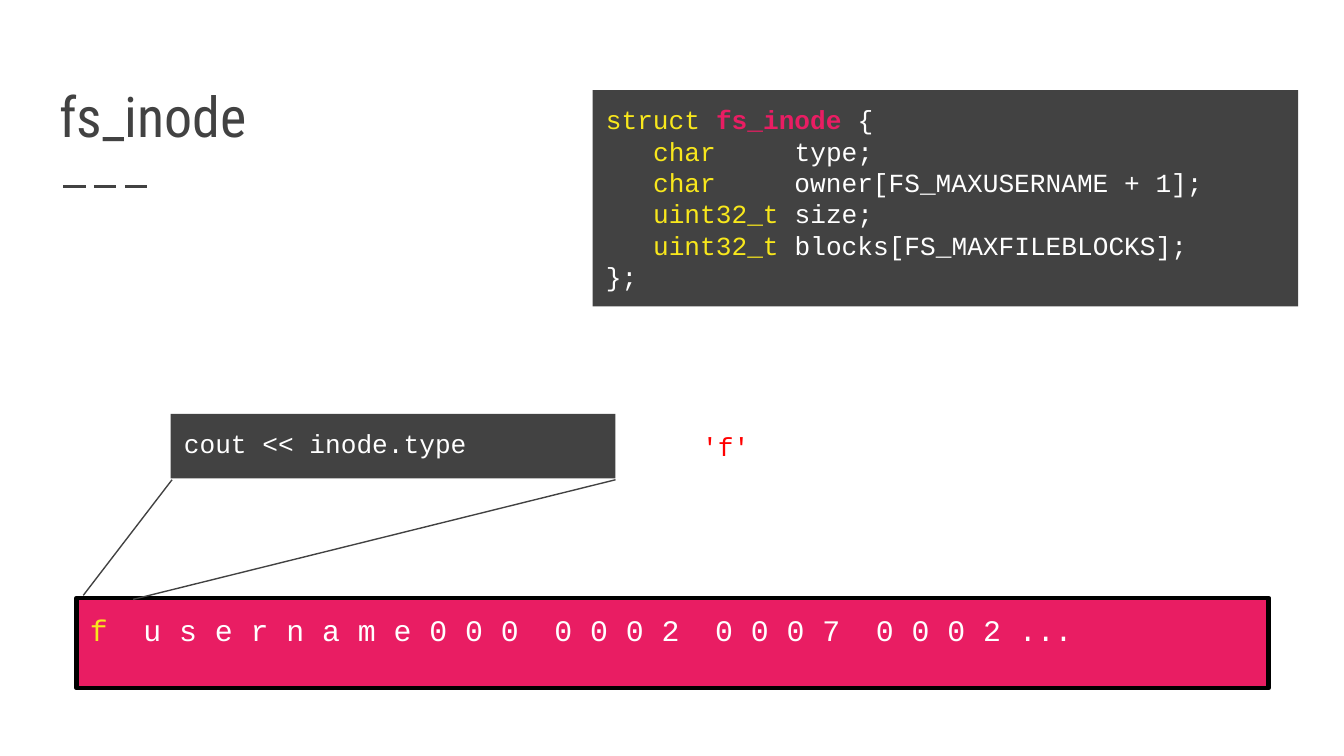
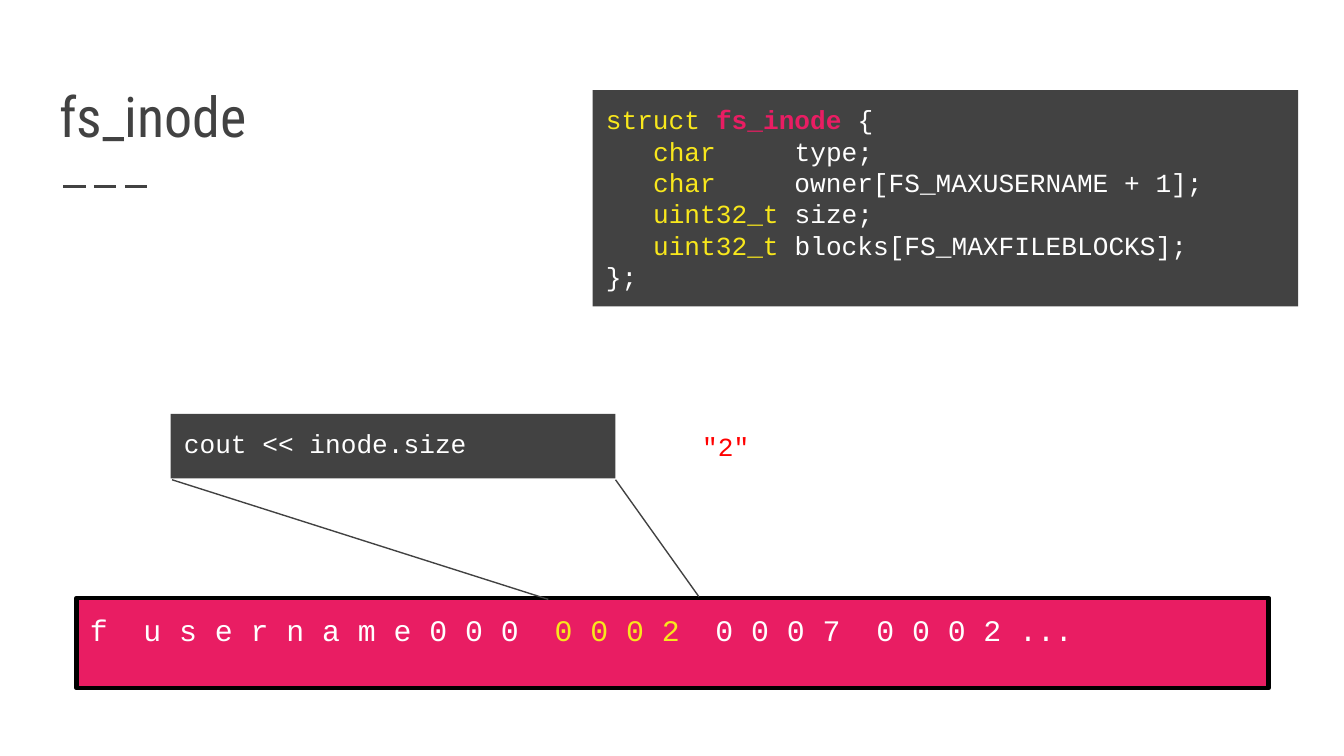
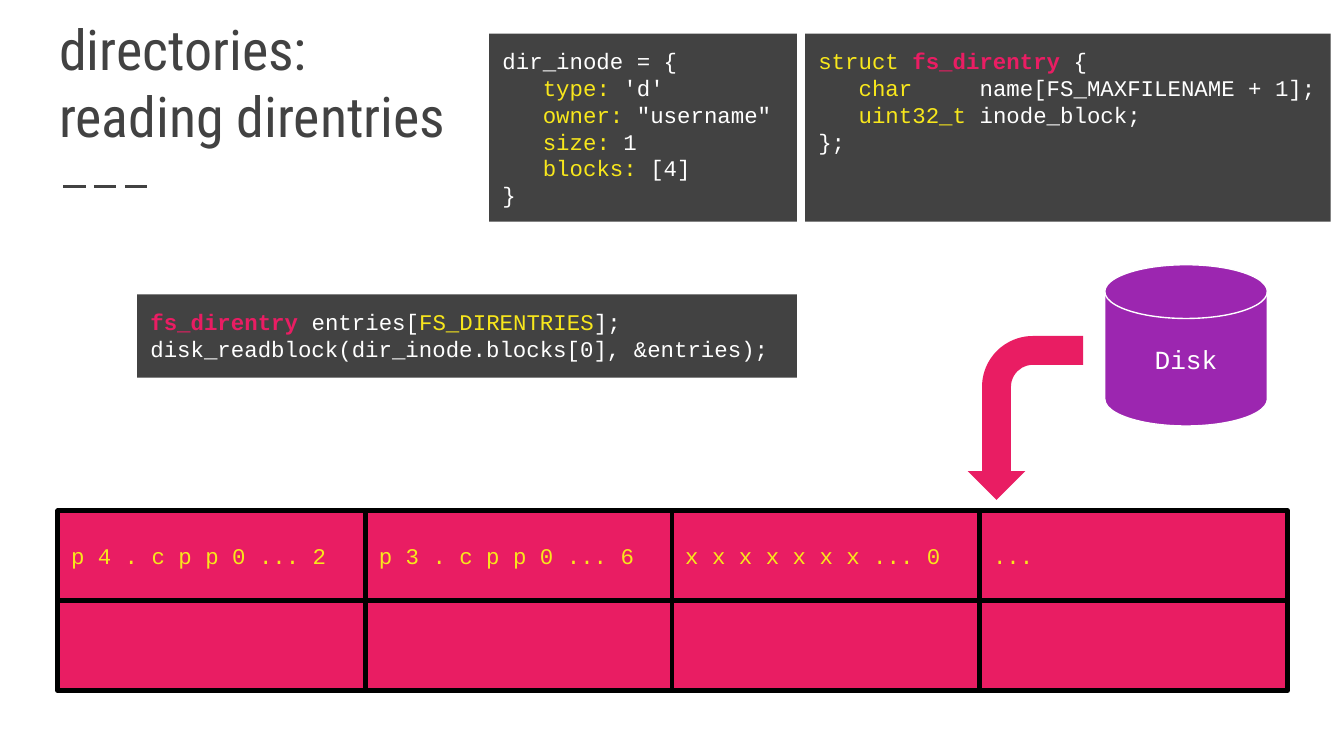
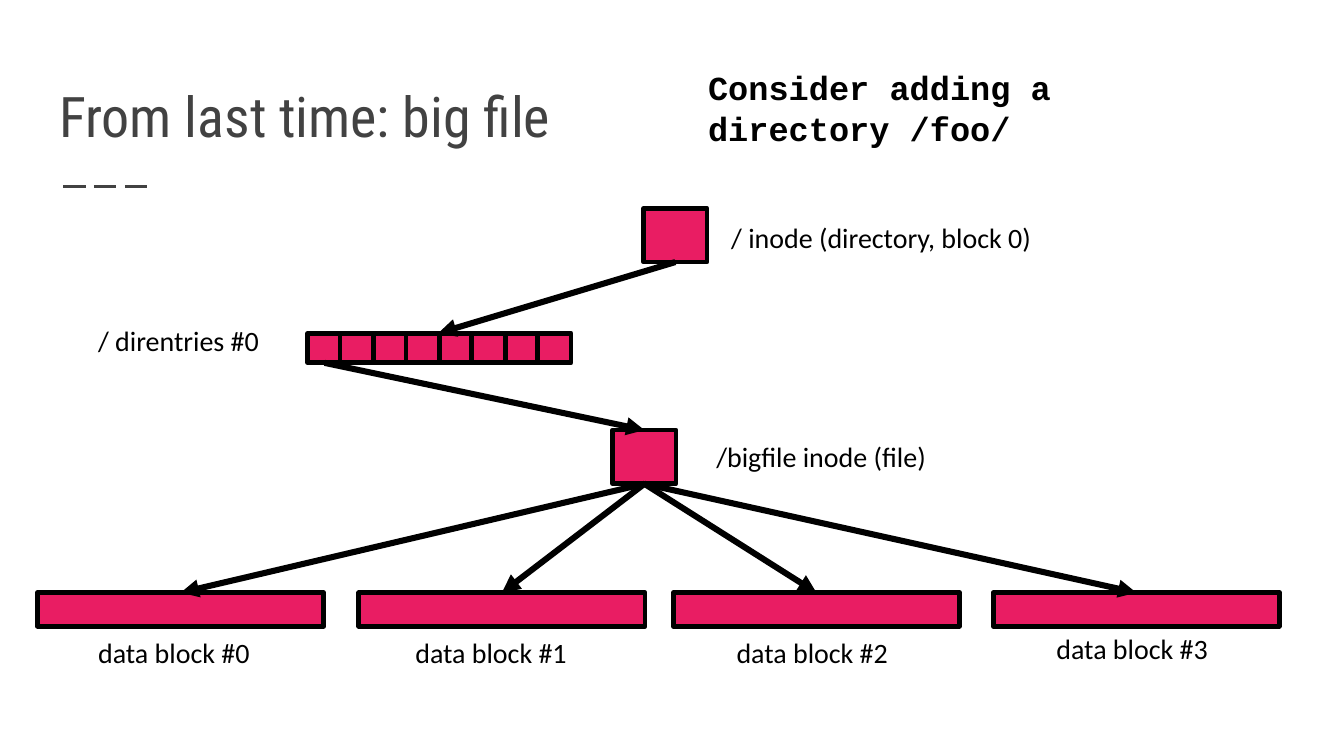
from lxml import etree
from pptx import Presentation
from pptx import util as u
from pptx.dml.color import RGBColor
from pptx.enum import dml, shapes, text
from pptx.oxml import ns

PX = 9144  # 100 px to the inch
GREY = RGBColor(0x42, 0x42, 0x42)
PINK = RGBColor(0xE9, 0x1D, 0x63)
YELLOW = RGBColor(0xF8, 0xE7, 0x1C)
PURPLE = RGBColor(0x9C, 0x26, 0xB0)
RED = RGBColor(0xFF, 0x00, 0x00)
WHITE = RGBColor(0xFF, 0xFF, 0xFF)
BLACK = RGBColor(0x00, 0x00, 0x00)
CODE_FONT, TITLE_FONT, LABEL_FONT = "Courier New", "Roboto Condensed", "Calibri"
KIND, LINE = shapes.MSO_SHAPE, shapes.MSO_CONNECTOR.STRAIGHT
TOP, MIDDLE, BOTTOM = text.MSO_ANCHOR.TOP, text.MSO_ANCHOR.MIDDLE, text.MSO_ANCHOR.BOTTOM
LEFT, CENTER = text.PP_ALIGN.LEFT, text.PP_ALIGN.CENTER
MEMORY_INSET, LABEL_INSET = (10, 10, 0, 10), (7, 4, 7, 4)


def write(shape, lines, size=14, color=WHITE, font=CODE_FONT, bold=False,
          align=LEFT, anchor=TOP, inset=(10, 10, 10, 10)):
    """Each line is a string or a list of strings and (string, colour) runs; pink runs are bold."""
    frame = shape.text_frame
    frame.word_wrap = True
    frame.auto_size = text.MSO_AUTO_SIZE.NONE
    frame.vertical_anchor = anchor
    frame.margin_left, frame.margin_top, frame.margin_right, frame.margin_bottom = (
        side * PX for side in inset)
    for i, line in enumerate(lines):
        paragraph = frame.paragraphs[0] if i == 0 else frame.add_paragraph()
        paragraph.alignment = align
        for piece in [line] if isinstance(line, str) else line:
            words, piece_color = (piece, color) if isinstance(piece, str) else piece
            run = paragraph.add_run()
            run.text = words
            run.font.name = font
            run.font.size = u.Pt(size)
            run.font.bold = bold or piece_color == PINK
            run.font.color.rgb = piece_color


def box(parent, place, fill=None, border=None, border_width=2.5, kind=KIND.RECTANGLE):
    """Add a filled shape, or a text box when there is no fill."""
    place = [side * PX for side in place]
    if fill is None:
        return parent.shapes.add_textbox(*place)
    shape = parent.shapes.add_shape(kind, *place)
    shape.shadow.inherit = False
    shape.fill.solid()
    shape.fill.fore_color.rgb = fill
    if border is None:
        shape.line.fill.background()
    else:
        shape.line.color.rgb = border
        shape.line.width = u.Pt(border_width)
    return shape


prs = Presentation()
prs.slide_width = 1000 * PX
prs.slide_height = prs.slide_width * 9 // 16
layout = prs.slide_layouts[5]

# Slides and their titles
titles = [["fs_inode"], ["fs_inode"], ["directories:", "reading direntries"],
          ["From last time: big file"]]
for title_lines in titles:
    slide = prs.slides.add_slide(layout)
    title = slide.shapes.title
    title.left, title.top, title.width, title.height = 34 * PX, 41 * PX, 932 * PX, 80 * PX
    write(title, title_lines, size=30, color=GREY, font=TITLE_FONT, anchor=BOTTOM)
type_slide, size_slide, entries_slide, tree_slide = prs.slides

# Dashed rule below every title, moved to the layout
rule = type_slide.shapes.add_connector(LINE, 47 * PX, 139 * PX, 114 * PX, 139 * PX)
rule.line.color.rgb = GREY
rule.line.width = u.Pt(1.5)
rule.line.dash_style = dml.MSO_LINE.LONG_DASH
layout.shapes.element.append(rule.element)

# Slides 1 and 2: one field of the inode and its bytes
inode_struct = [
    [("struct ", YELLOW), ("fs_inode ", PINK), "{"],
    ["   ", ("char     ", YELLOW), "type;"],
    ["   ", ("char ", YELLOW), "    owner[FS_MAXUSERNAME + 1];"],
    ["   ", ("uint32_t ", YELLOW), "size;"],
    ["   ", ("uint32_t ", YELLOW), "blocks[FS_MAXFILEBLOCKS];"],
    "};",
]
fields = [
    (type_slide, "type", "'f'",
     [("f  ", YELLOW), "u s e r n a m e 0 0 0  0 0 0 2  0 0 0 7  0 0 0 2 ..."],
     [(62, 443), (99, 446)]),
    (size_slide, "size", '"2"',
     ["f  u s e r n a m e 0 0 0  ", ("0 0 0 2", YELLOW), "  0 0 0 7  0 0 0 2 ..."],
     [(408, 446), (520, 444)]),
]
for slide, field, output, memory, byte_ends in fields:
    write(box(slide, (441, 67, 525, 161), GREY), inode_struct)
    write(box(slide, (57, 445, 887, 67), PINK, BLACK), [memory], size=16, inset=MEMORY_INSET)
    write(box(slide, (127, 308, 331, 48), GREY), [f"cout << inode.{field}"])
    for corner, (x, y) in zip((128, 458), byte_ends):
        callout = slide.shapes.add_connector(LINE, corner * PX, 357 * PX, x * PX, y * PX)
        callout.line.color.rgb = GREY
        callout.line.width = u.Pt(0.75)
    write(box(slide, (459, 310, 162, 44)), [output], color=RED, align=CENTER)

# Slide 3: code
dir_inode = [
    "dir_inode = {",
    ["   ", ("type:", YELLOW), " 'd'"],
    ["   ", ("owner:", YELLOW), ' "username"'],
    ["   ", ("size:", YELLOW), " 1"],
    ["   ", ("blocks:", YELLOW), " [4]"],
    "}",
]
direntry_struct = [
    [("struct ", YELLOW), ("fs_direntry ", PINK), "{"],
    ["   ", ("char     ", YELLOW), "name[FS_MAXFILENAME + 1];"],
    ["   ", ("uint32_t ", YELLOW), "inode_block;"],
    "};",
]
read_call = [
    [("fs_direntry ", PINK), "entries[", ("FS_DIRENTRIES", YELLOW), "];"],
    "disk_readblock(dir_inode.blocks[0], &entries);",
]
for place, code in [((364, 25, 229, 140), dir_inode),
                    ((599, 25, 391, 140), direntry_struct),
                    ((102, 219, 491, 62), read_call)]:
    write(box(entries_slide, place, GREY), code, size=12)

# Slide 3: directory entries in memory
entries = ["p 4 . c p p 0 ... 2", "p 3 . c p p 0 ... 6", "x x x x x x x ... 0", "..."]
for column, entry in enumerate(entries):
    left = 43 + round(686 * column / 3)
    box(entries_slide, (left, 447, 229, 67), PINK, BLACK)
    write(box(entries_slide, (left, 380, 229, 67), PINK, BLACK), [entry], size=12,
          color=YELLOW, anchor=MIDDLE, inset=MEMORY_INSET)

# Slide 3: disk and the arrow into memory
disk = box(entries_slide, (822, 197, 121, 120), PURPLE, WHITE, 0.75,
           KIND.FLOWCHART_MAGNETIC_DISK)
write(disk, ["Disk"], align=CENTER, anchor=MIDDLE)
read_arrow = box(entries_slide, (702, 268, 122, 86), PINK, kind=KIND.BENT_ARROW)
for i, value in enumerate((0.25, 0.25, 0.25, 0.44)):
    read_arrow.adjustments[i] = value
read_arrow.rotation = 270
read_arrow.element.spPr.find(ns.qn("a:xfrm")).set("flipH", "1")

# Slide 4: inodes, directory entries and data blocks
root_inode = box(tree_slide, (479, 155, 47, 40), PINK, BLACK)
direntries = tree_slide.shapes.add_group_shape()
cells = [box(direntries, (229 + round(i * 171 / 7), 248, 25, 22), PINK, BLACK)
         for i in range(8)]
file_inode = box(tree_slide, (456, 320, 47, 40), PINK, BLACK)
data_blocks = [box(tree_slide, (left, 441, 213, 25), PINK, BLACK)
               for left in (28, 267, 501, 739)]

# Slide 4: arrows from bottom to top; the first ends between the middle cells
links = [(root_inode, None), (cells[0], file_inode)]
links += [(file_inode, block) for block in data_blocks]
for source, target in links:
    arrow = tree_slide.shapes.add_connector(LINE, 0, 0, 326 * PX, 248 * PX)
    arrow.begin_connect(source, 2)
    if target is not None:
        arrow.end_connect(target, 0)
    arrow.line.color.rgb = BLACK
    arrow.line.width = u.Pt(3.25)
    outline = arrow.element.spPr.find(ns.qn("a:ln"))
    etree.SubElement(outline, ns.qn("a:tailEnd"), type="triangle")

# Slide 4: labels and question
labels = [
    ("/ inode (directory, block 0)", 537, 160, 241),
    ("/ direntries #0", 66, 237, 136),
    ("/bigfile inode (file)", 526, 323, 173),
    ("data block #0", 66, 469, 129),
    ("data block #1", 302, 469, 129),
    ("data block #2", 541, 469, 129),
    ("data block #3", 779, 466, 129),
]
for label, left, top, width in labels:
    write(box(tree_slide, (left, top, width, 33)), [label], size=15, color=BLACK,
          font=LABEL_FONT, inset=LABEL_INSET)
write(box(tree_slide, (517, 40, 458, 82)), ["Consider adding a directory /foo/"],
      size=18, color=BLACK, bold=True)

# Connectors without shadow
for page in [layout, *prs.slides]:
    for shape in page.shapes:
        if shape.shape_type == shapes.MSO_SHAPE_TYPE.LINE:
            etree.SubElement(shape.element.spPr, ns.qn("a:effectLst"))

prs.save("out.pptx")
